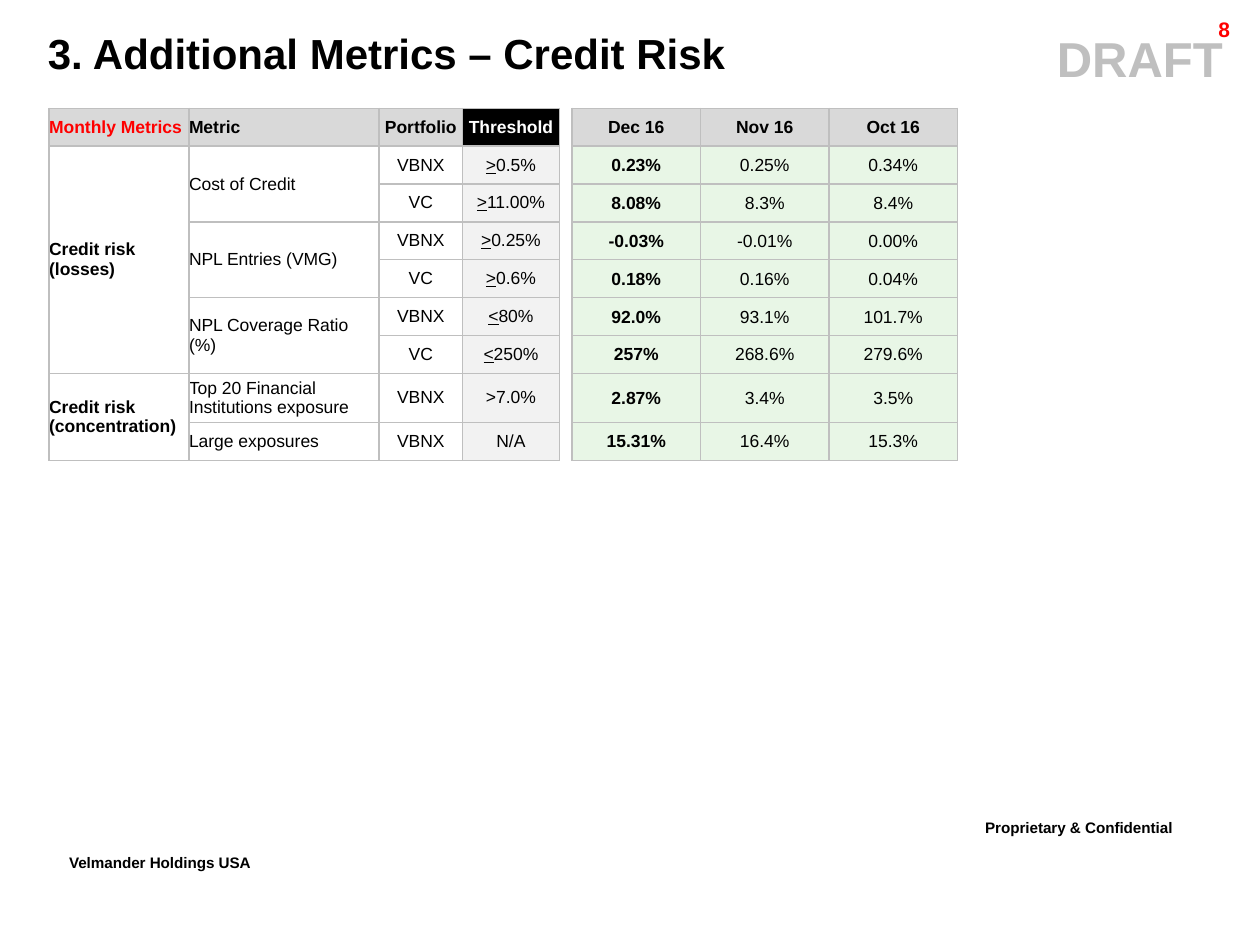
"""Build the credit risk metrics slide."""
from lxml.etree import SubElement
from pptx import Presentation
from pptx.dml.color import RGBColor as RGB
from pptx.enum.text import MSO_ANCHOR as Anchor, MSO_AUTO_SIZE as Fit, PP_ALIGN as Align
from pptx.oxml.ns import qn
from pptx.util import Inches, Pt

HUES = {"ink": "000000", "red": "FF0000", "white": "FFFFFF", "rule": "BFBFBF",
        "head": "D9D9D9", "limit": "F2F2F2", "good": "E8F6E6"}
COLS = [1.11, 1.51, 0.66, 0.77, 0.1, 1.02, 1.02, 1.02]
GAP = 4
TALL = 7
HIGH = 0.39
ROWS = [HIGH if i == TALL else (2.75 - HIGH) / 8 for i in range(9)]
SPANS = [(1, 0, 6), (1, 1, 2), (3, 1, 2), (5, 1, 2), (7, 0, 2)]
DATA = [
    ["Monthly Metrics", "Metric", "Portfolio", "Threshold", "", "Dec 16", "Nov 16", "Oct 16"],
    ["Credit risk (losses)", "Cost of Credit", "VBNX", "_>0.5%", "", "0.23%", "0.25%", "0.34%"],
    ["", "", "VC", "_>11.00%", "", "8.08%", "8.3%", "8.4%"],
    ["", "NPL Entries (VMG)", "VBNX", "_>0.25%", "", "-0.03%", "-0.01%", "0.00%"],
    ["", "", "VC", "_>0.6%", "", "0.18%", "0.16%", "0.04%"],
    ["", "NPL Coverage Ratio (%)", "VBNX", "_<80%", "", "92.0%", "93.1%", "101.7%"],
    ["", "", "VC", "_<250%", "", "257%", "268.6%", "279.6%"],
    ["Credit risk (concentration)", "Top 20 Financial Institutions exposure", "VBNX",
     ">7.0%", "", "2.87%", "3.4%", "3.5%"],
    ["", "Large exposures", "VBNX", "N/A", "", "15.31%", "16.4%", "15.3%"],
]


def write(frame, text, size=10, hue="ink", bold=True, align=Align.LEFT,
          space=0, line=None, base=None):
    """Fill a frame with one paragraph; a leading _ underlines the first sign."""
    para = frame.paragraphs[0]
    para.alignment = align
    para.space_before = para.space_after = Pt(space)
    if line:
        para.line_spacing = line
    parts = [(text[1], True), (text[2:], False)] if text.startswith("_") else [(text, False)]
    for part, under in parts:
        run = para.add_run()
        run.text = part
        font = run.font
        font.name, font.size, font.bold = "Arial", Pt(size), bold
        font.color.rgb = RGB.from_string(HUES[hue])
        if under:
            font.underline = True
        if base:
            run._r.get_or_add_rPr().set("baseline", str(base * 1000))


def edge(cell, gap):
    """Rule all sides of a cell, or only left and right in the gap."""
    props = cell._tc.get_or_add_tcPr()
    for side in "LRTB":
        line = SubElement(props, qn(f"a:ln{side}"), w=str(Pt(1)))
        if gap and side in "TB":
            SubElement(line, qn("a:noFill"))
        else:
            fill = SubElement(line, qn("a:solidFill"))
            SubElement(fill, qn("a:srgbClr"), val=HUES["rule"])


def tint(row, col):
    """Name the fill of a cell, or None."""
    if col == GAP:
        return None
    if row == 0:
        return "ink" if col == 3 else "head"
    if col > GAP:
        return "good"
    return "limit" if col == 3 else None


class Deck:
    """Hold the file and its current slide."""

    def __init__(self):
        """Start a file with one title-only slide."""
        self.file = Presentation()
        self.file.slide_width, self.file.slide_height = Inches(10), Inches(7.5)
        self.slide = self.file.slides.add_slide(self.file.slide_layouts[5])

    def title(self, text, box):
        """Place and fill the title."""
        shape = self.slide.shapes.title
        shape.left, shape.top, shape.width, shape.height = map(Inches, box)
        frame = shape.text_frame
        frame.auto_size, frame.vertical_anchor = Fit.NONE, Anchor.TOP
        write(frame, text, size=24)

    def label(self, text, box, wrap=True, inset=0.1, **fmt):
        """Add a text box."""
        frame = self.slide.shapes.add_textbox(*map(Inches, box)).text_frame
        frame.word_wrap = wrap
        frame.margin_left = Inches(inset)
        write(frame, text, **fmt)

    def cell(self, cell, text, row, col):
        """Format and fill one cell."""
        side = Inches(0.01 if row and col > GAP else 0)
        cell.margin_left = cell.margin_right = cell.margin_top = side
        cell.margin_bottom = 0
        cell.vertical_anchor = Anchor.MIDDLE
        edge(cell, col == GAP)
        fill = tint(row, col)
        if fill:
            cell.fill.solid()
            cell.fill.fore_color.rgb = RGB.from_string(HUES[fill])
        else:
            cell.fill.background()
        hue = {0: "red", 3: "white"}.get(col, "ink") if row == 0 else "ink"
        write(cell.text_frame, text, hue=hue, bold=row == 0 or col in (0, GAP + 1),
              align=Align.LEFT if col < 2 else Align.CENTER,
              space=2 if row == 0 or col < 3 else 0)

    def table(self, data, left, top):
        """Add the metrics table."""
        grid = self.slide.shapes.add_table(
            len(ROWS), len(COLS), Inches(left), Inches(top),
            Inches(sum(COLS)), Inches(sum(ROWS))).table
        grid.first_row = grid.horz_banding = False
        for col, width in zip(grid.columns, COLS):
            col.width = Inches(width)
        for row, height in zip(grid.rows, ROWS):
            row.height = Inches(height)
        for r, line in enumerate(data):
            for c, text in enumerate(line):
                self.cell(grid.cell(r, c), text, r, c)
        for r, c, count in SPANS:
            grid.cell(r, c).merge(grid.cell(r + count - 1, c))


def main():
    """Build and save the slide."""
    deck = Deck()
    deck.label("Proprietary & Confidential", (7.72, 6.42, 2.18, 0.35), size=15, base=30)
    deck.label("Velmander Holdings USA", (0.45, 6.7, 1.91, 0.35), wrap=False, size=15, base=30)
    deck.label("DRAFT", (1.15, 0.18, 8.79, 0.57), inset=7.1, size=28, hue="rule",
               align=Align.CENTER)
    deck.label("8", (8.91, 0.11, 0.95, 0.24), size=12, hue="red", align=Align.RIGHT, line=0.86)
    deck.title("3. Additional Metrics – Credit Risk", (0.28, 0.17, 9.35, 0.5))
    deck.table(DATA, 0.39, 0.86)
    deck.file.save("out.pptx")


if __name__ == "__main__":
    main()
